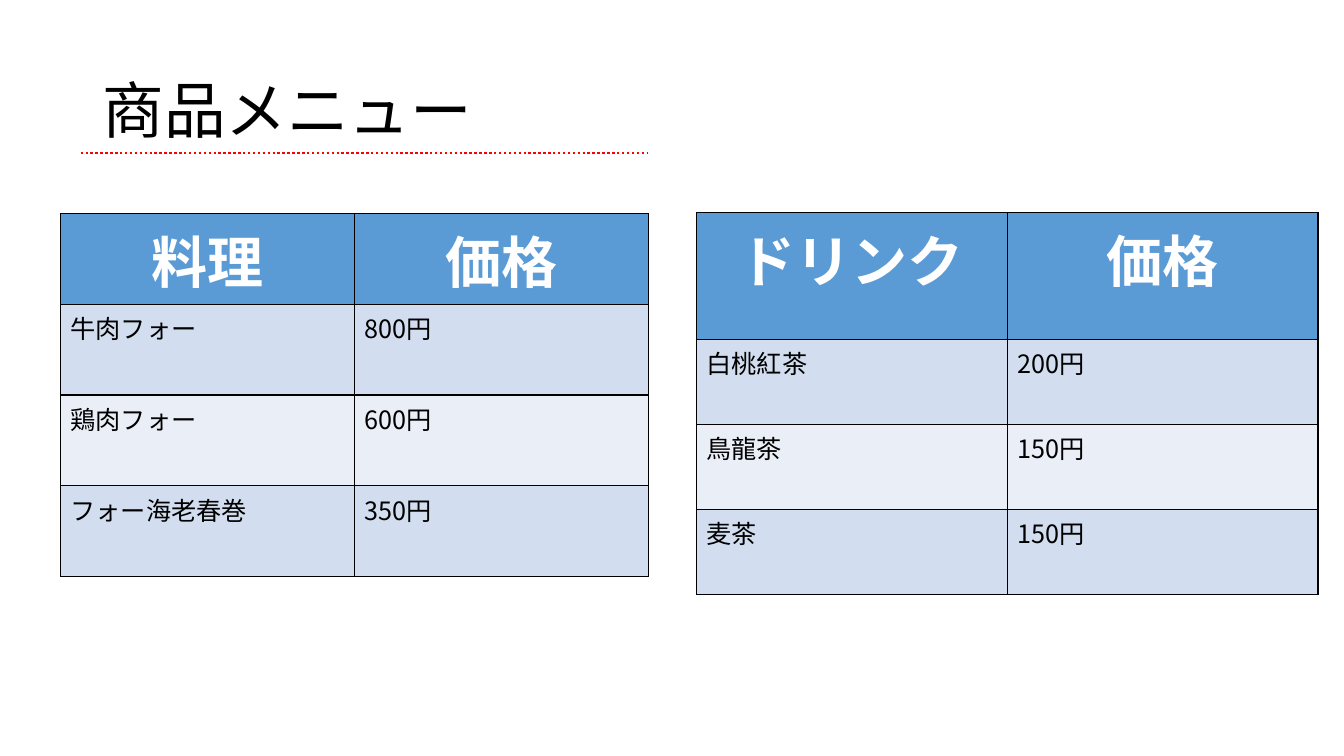
from lxml import etree
from pptx import Presentation
from pptx import util as u
from pptx.dml.color import RGBColor
from pptx.enum import dml, shapes, text
from pptx.oxml.ns import qn

FONT = "Noto Sans CJK JP"
COLORS = {
    "ink": "000000",
    "header": "5B9BD5",
    "header_text": "FFFFFF",
    "odd_row": "D2DEEF",
    "even_row": "EAEFF7",
    "rule": "FF0000",
}
TITLE = "商品メニュー"
MENUS = [
    {
        "at": (43.2, 152.6), "column": 210, "header": 64.8, "row": 64.8,
        "items": [("料理", "価格"), ("牛肉フォー", "800円"),
                  ("鶏肉フォー", "600円"), ("フォー海老春巻", "350円")],
    },
    {
        "at": (497.5, 151.7), "column": 222, "header": 90.7, "row": 60.7,
        "items": [("ドリンク", "価格"), ("白桃紅茶", "200円"),
                  ("鳥龍茶", "150円"), ("麦茶", "150円")],
    },
]


def color(name):
    return RGBColor.from_string(COLORS[name])


def add_text(paragraph, words, size, ink, bold=False):
    run = paragraph.add_run()
    run.text = words
    run.font.name = FONT
    run.font.size = u.Pt(size)
    run.font.bold = bold
    run.font.color.rgb = color(ink)
    etree.SubElement(run.font._element, qn("a:ea"), typeface=FONT)


def add_borders(cell):
    """Rule all four sides; border elements must precede the cell's fill."""
    properties = cell._tc.get_or_add_tcPr()
    for position, side in enumerate(("lnL", "lnR", "lnT", "lnB")):
        border = etree.Element(qn("a:" + side), w=str(u.Pt(1)))
        fill = etree.SubElement(border, qn("a:solidFill"))
        etree.SubElement(fill, qn("a:srgbClr"), val=COLORS["ink"])
        properties.insert(position, border)


def add_title(slide):
    title = slide.shapes.add_textbox(u.Pt(66.2), u.Pt(28.8), u.Pt(828), u.Pt(104.4))
    frame = title.text_frame
    frame.word_wrap = True
    frame.vertical_anchor = text.MSO_ANCHOR.MIDDLE
    heading = frame.paragraphs[0]
    heading.line_spacing = 0.9
    add_text(heading, TITLE, 44, "ink")


def add_title_rule(slide):
    y = u.Pt(109.5)
    rule = slide.shapes.add_connector(
        shapes.MSO_CONNECTOR.STRAIGHT, u.Pt(57.6), y, u.Pt(463), y)
    rule.line.color.rgb = color("rule")
    rule.line.width = u.Pt(1.75)
    rule.line.dash_style = dml.MSO_LINE.ROUND_DOT
    etree.SubElement(rule._element.spPr, qn("a:effectLst"))


def add_menu(slide, menu):
    items = menu["items"]
    heights = [menu["header"]] + [menu["row"]] * (len(items) - 1)
    left, top = menu["at"]
    table = slide.shapes.add_table(
        len(items), 2, u.Pt(left), u.Pt(top),
        u.Pt(2 * menu["column"]), u.Pt(sum(heights))).table
    for column in table.columns:
        column.width = u.Pt(menu["column"])
    for i, (item, height) in enumerate(zip(items, heights)):
        table.rows[i].height = u.Pt(height)
        band = "header" if i == 0 else "odd_row" if i % 2 else "even_row"
        for j, words in enumerate(item):
            cell = table.cell(i, j)
            cell.fill.solid()
            cell.fill.fore_color.rgb = color(band)
            add_borders(cell)
            paragraph = cell.text_frame.paragraphs[0]
            if i == 0:
                paragraph.alignment = text.PP_ALIGN.CENTER
                add_text(paragraph, words, 40, "header_text", bold=True)
            else:
                add_text(paragraph, words, 18, "ink")


def main():
    deck = Presentation()
    deck.slide_width, deck.slide_height = u.Pt(960), u.Pt(540)
    slide = deck.slides.add_slide(deck.slide_layouts[6])
    add_title(slide)
    add_title_rule(slide)
    for menu in MENUS:
        add_menu(slide, menu)
    deck.save("out.pptx")


if __name__ == "__main__":
    main()
